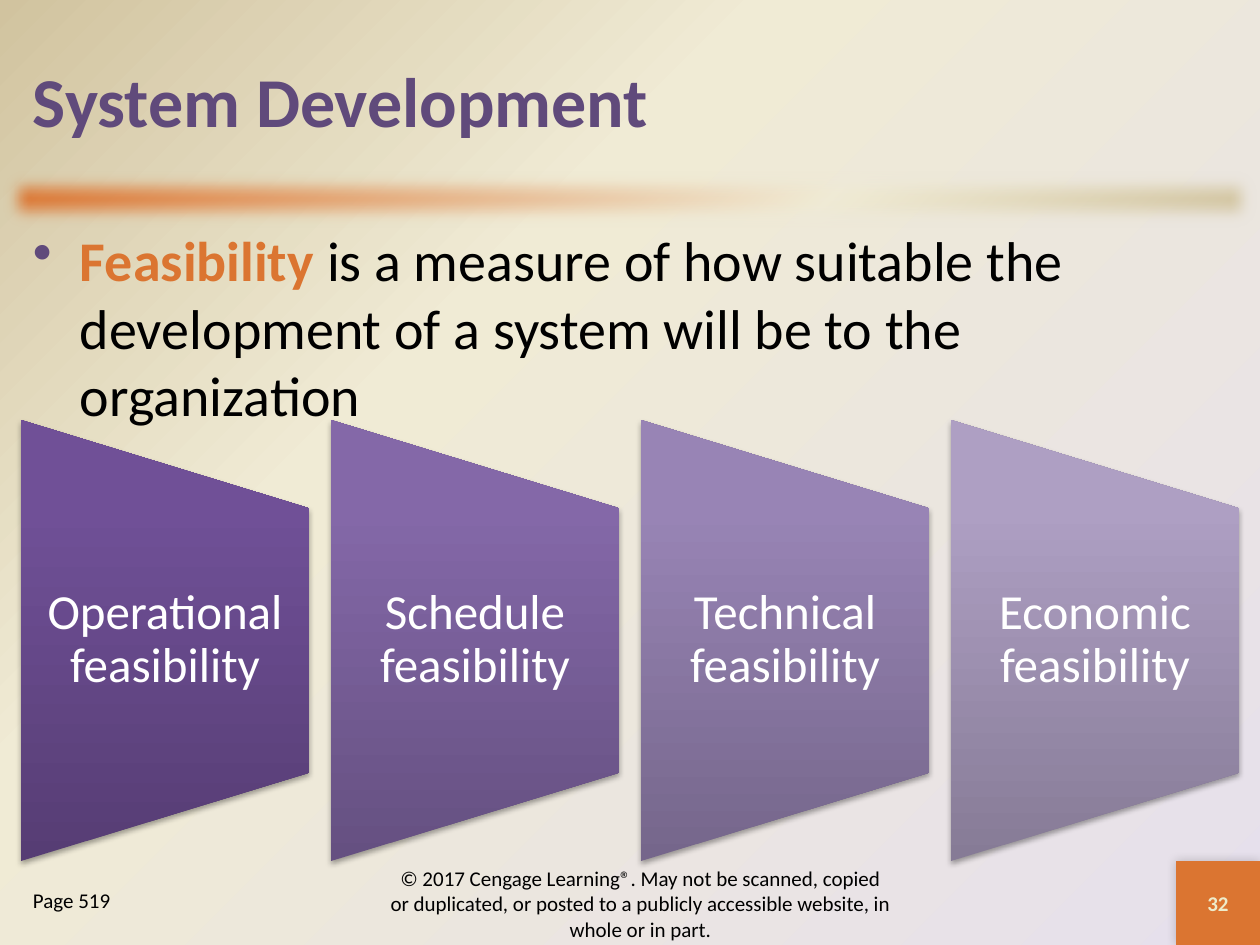
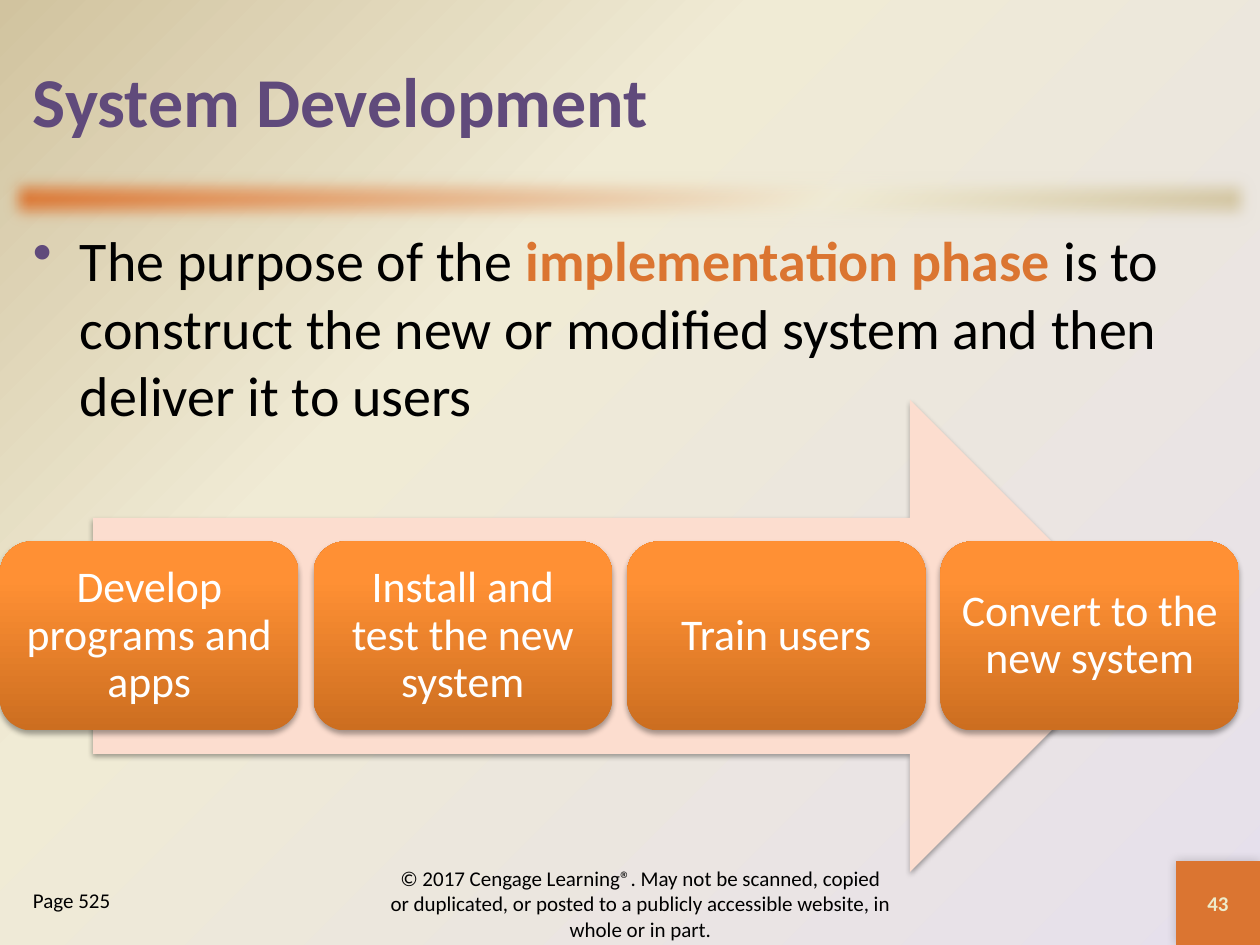
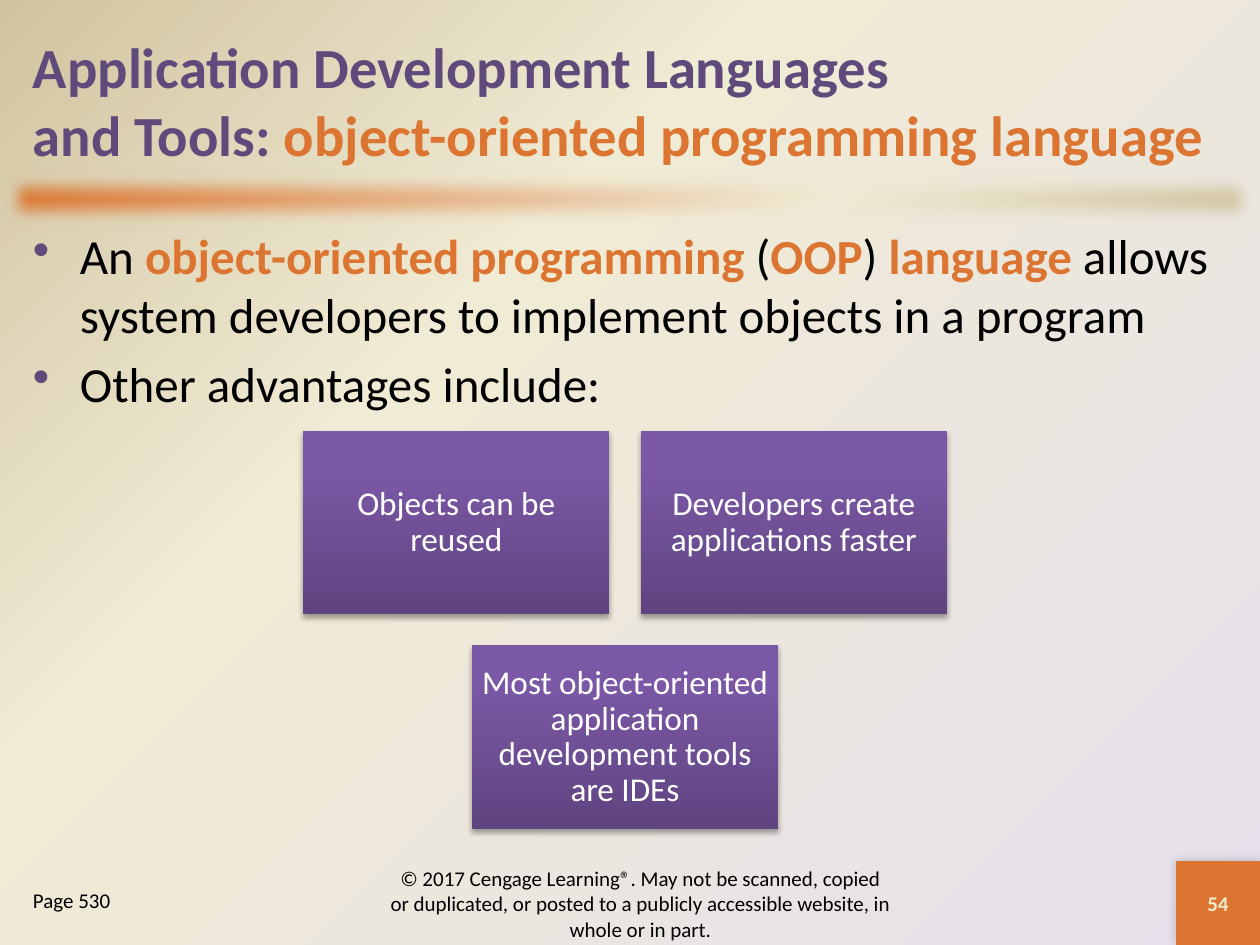
import pptx
import pptx.util
import pptx.dml.color
import pptx.enum.shapes
import pptx.enum.text
import pptx.oxml
import pptx.oxml.ns

SHAPE = pptx.enum.shapes.MSO_SHAPE
ALIGN = pptx.enum.text.PP_ALIGN
ANCHOR = pptx.enum.text.MSO_ANCHOR
qn = pptx.oxml.ns.qn
SCALE = 914400 / 126  # EMU per px

COLORS = {
    "title": "604A7B", "accent": "DB7531", "text": "000000",
    "white": "FFFFFF", "number": "EEEBCA", "arrow": "FCDDCF",
    "lilac": "E6E0EC", "cream": "F0EBD5", "sand": "D1C39F",
}
GRADS = {
    "page": ("E6E0EC", "F0EBD5", "D1C39F"),
    "band": ("DB7531", "F0EBD5", "D1C39F"),
    "orange": ("CC6E20", "FF9034", "FF9136"),
    "purple": ("5F4480", "7B58A6", "7C57A8"),
}
# Panels fade from left to right
FADES = (
    ("563D74", "705097", "704F99"),
    ("655081", "8468A8", "8467AA"),
    ("75668B", "9884B5", "9984B7"),
    ("867B96", "AE9FC3", "AE9FC4"),
)
SOFT = {"blurRad": 40000, "dist": 23000, "dir": 5400000, "alpha": 35000}
GLOW = {"blurRad": 76200, "dist": 0, "dir": 13500000, "alpha": 20000}
NOTICE = ("© 2017 Cengage Learning®. May not be scanned, copied or duplicated, "
          "or posted to a publicly accessible website, in whole or in part.")


def px(n):
    return round(n * SCALE)


def rgb(name):
    return pptx.dml.color.RGBColor.from_string(COLORS[name])


def node(parent, tag, **attrs):
    """Append a drawing element with its attributes."""
    item = parent.makeelement(qn("a:" + tag), {k: str(v) for k, v in attrs.items()})
    parent.append(item)
    return item


def blend(fill, root, hues, mid, angle=None):
    """Three-stop gradient; without an angle it spreads from the bottom right."""
    fill.gradient()
    grad = next(root.iter(qn("a:gradFill")))
    grad.clear()
    grad.set("rotWithShape", "0")
    stops = node(grad, "gsLst")
    for pos, hue in zip((0, mid, 100), hues):
        node(node(stops, "gs", pos=pos * 1000), "srgbClr", val=hue)
    if angle is None:
        node(node(grad, "path", path="circle"), "fillToRect", l=100000, t=100000)
    else:
        node(grad, "lin", ang=angle * 60000, scaled=0)


def effects(shape):
    shape.shadow.inherit = False
    return shape.element.spPr.find(qn("a:effectLst"))


def block(slide, kind, box, fill, shadow=None):
    """Preset shape with a plain or gradient fill."""
    shape = slide.shapes.add_shape(kind, *map(px, box))
    if isinstance(fill, str):
        shape.fill.solid()
        shape.fill.fore_color.rgb = rgb(fill)
    else:
        blend(shape.fill, shape.element.spPr, fill, 80, 270)
    shape.line.fill.background()
    list_ = effects(shape)
    if shadow:
        attrs = {k: v for k, v in shadow.items() if k != "alpha"}
        cast = node(list_, "outerShdw", **attrs, rotWithShape=0)
        node(node(cast, "srgbClr", val="000000"), "alpha", val=shadow["alpha"])
    return shape


def write(shape, paras, size, color="text", bold=False, align=ALIGN.LEFT,
          anchor=ANCHOR.MIDDLE, inset=(12, 6), lead=None, bullet=False):
    """Fill a text frame; runs marked * take the accent colour in bold."""
    frame = shape.text_frame
    side, edge = map(px, inset)
    form = {"word_wrap": True, "vertical_anchor": anchor, "margin_left": side,
            "margin_right": side, "margin_top": edge, "margin_bottom": edge}
    for key, val in form.items():
        setattr(frame, key, val)
    for i, text in enumerate(paras):
        para = frame.add_paragraph() if i else frame.paragraphs[0]
        if bullet:
            props = para._p.get_or_add_pPr()
            props.set("marL", str(px(47)))
            props.set("indent", str(-px(47)))
            node(node(props, "buClr"), "srgbClr", val=COLORS["title"])
            node(props, "buChar", char="•")
        para.alignment = align
        if lead:
            para.line_spacing = lead
        if i:
            para.space_before = pptx.util.Pt(size * 0.2)
        for j, part in enumerate(text.split("*")):
            marked = j % 2 == 1
            for k, line in enumerate(part.split("\n")):
                if k:
                    para.add_line_break()
                if not line:
                    continue
                run = para.add_run()
                run.text = line
                style = {"name": "Calibri", "size": pptx.util.Pt(size),
                         "bold": bold or marked}
                for key, val in style.items():
                    setattr(run.font, key, val)
                run.font.color.rgb = rgb("accent" if marked else color)


def label(slide, box, paras, size, **form):
    write(slide.shapes.add_textbox(*map(px, box)), paras, size, **form)


def frame(deck, title, points, page, number, head=40, body=32):
    """Slide with the title, band, bullets and footer."""
    slide = deck.slides.add_slide(deck.slide_layouts[6])
    # Soft band under the title
    band = block(slide, SHAPE.RECTANGLE, (0, 168, 1260, 63), "accent")
    blend(band.fill, band.element.spPr, GRADS["band"], 65, 45)
    node(effects(band), "softEdge", rad=127000)
    # Title and bullets
    label(slide, (21, 21, 1218, 158), [title], head, color="title", bold=True)
    label(slide, (21, 220, 1218, 641), points, body, anchor=ANCHOR.TOP, bullet=True)
    # Footer
    label(slide, (378, 872, 525, 63), [NOTICE], 12, align=ALIGN.CENTER)
    tile = block(slide, SHAPE.RECTANGLE, (1176, 861, 84, 84), "accent", GLOW)
    write(tile, [number], 12, color="number", bold=True, align=ALIGN.CENTER)
    label(slide, (21, 882, 231, 63), [page], 12, anchor=ANCHOR.TOP)
    return slide


CARD = {"color": "white", "align": ALIGN.CENTER, "lead": 0.9}


def panels(slide, box, names):
    """Row of tapered panels, each a turned trapezoid under upright text."""
    left, top, width, high = box
    step = 310
    wide = width - step * (len(names) - 1)
    for i, name in enumerate(names):
        x = left + i * step
        turned = (x + (wide - high) / 2, top + (high - wide) / 2, high, wide)
        shape = block(slide, SHAPE.FLOWCHART_MANUAL_OPERATION, turned, FADES[i], SOFT)
        shape.rotation = 270
        label(slide, (x, top + high / 5, wide, high * 0.6), [name], 28,
              inset=(24, 0), **CARD)


def steps(slide, box, names):
    """Row of rounded cards over a wide arrow."""
    left, top, width, high = box
    block(slide, SHAPE.RIGHT_ARROW, (left + 93, top, 1053, high), "arrow", SOFT)
    gap, tall = 15, 189
    wide = (width - gap * (len(names) - 1)) / len(names)
    for i, name in enumerate(names):
        spot = (left + i * (wide + gap), top + (high - tall) / 2, wide, tall)
        card = block(slide, SHAPE.ROUNDED_RECTANGLE, spot, GRADS["orange"], SOFT)
        write(card, [name], 25, inset=(12, 12), **CARD)


def tiles(slide, box, rows):
    """Rows of equal tiles, each row centred in the box."""
    left, top, width, high = box
    gap = 31
    wide, tall = (width - gap) / 2, (high - gap) / len(rows)
    for r, row in enumerate(rows):
        start = left + (width - len(row) * (wide + gap) + gap) / 2
        for c, name in enumerate(row):
            spot = (start + c * (wide + gap), top + r * (tall + gap), wide, tall)
            tile = block(slide, SHAPE.RECTANGLE, spot, GRADS["purple"], SOFT)
            write(tile, [name], 19, inset=(10, 10), **CARD)


def main():
    deck = pptx.Presentation()
    deck.slide_width, deck.slide_height = px(1260), px(945)
    master = deck.slide_master
    blend(master.background.fill, master.element, GRADS["page"], 65)

    slide = frame(deck, "System Development", [
        "*Feasibility *is a measure of how suitable the development of a system "
        "will be to the organization"], "Page 519", "32")
    panels(slide, (21, 420, 1218, 441), [
        "Operational feasibility", "Schedule feasibility",
        "Technical feasibility", "Economic feasibility"])

    slide = frame(deck, "System Development", [
        "The purpose of the *implementation phase *is to construct the new or "
        "modified system and then deliver it to users"], "Page 525", "43")
    steps(slide, (0, 400, 1239, 472), [
        "Develop programs and apps", "Install and test the new system",
        "Train users", "Convert to the new system"])

    slide = frame(
        deck,
        "Application Development Languages\n"
        "and Tools: *object-oriented programming language*",
        ["An *object-oriented programming *(*OOP*) *language *allows system "
         "developers to implement objects in a program",
         "Other advantages include:"], "Page 530", "54", 32.4, 28)
    tiles(slide, (303, 431, 644, 398), [
        ["Objects can be reused", "Developers create applications faster"],
        ["Most object-oriented application development tools are IDEs"]])

    deck.save("out.pptx")


if __name__ == "__main__":
    main()
